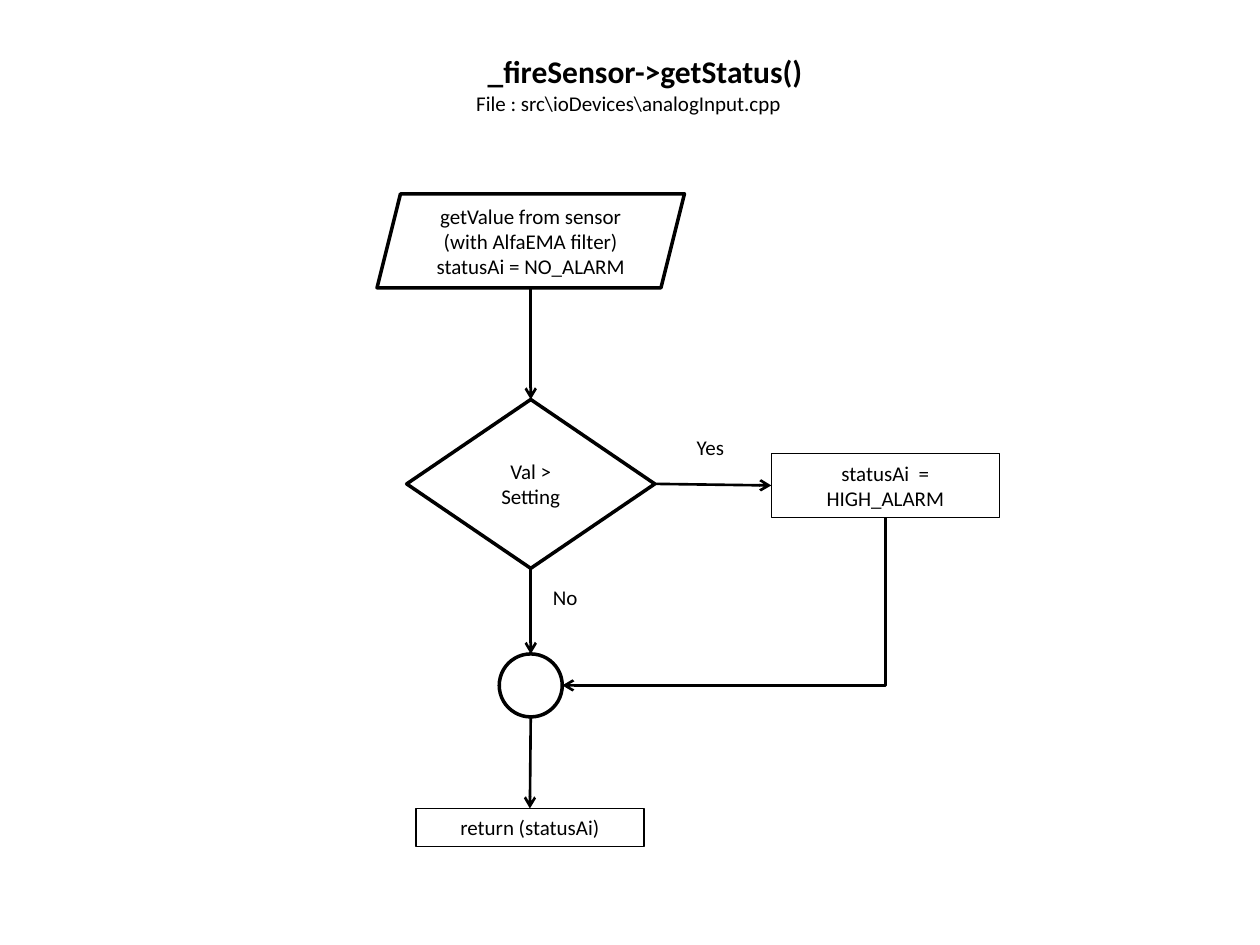
from lxml.etree import SubElement
from pptx import Presentation
from pptx.dml.color import RGBColor
from pptx.enum.shapes import MSO_CONNECTOR, MSO_SHAPE
from pptx.enum.text import MSO_ANCHOR, PP_ALIGN
from pptx.oxml.ns import qn
from pptx.util import Pt

INK = "000000"
AXIS = 303.3  # centre of the main flow
ALARM_AXIS = 505.9
BOX_WIDTH = 130.3


def color(value):
    return RGBColor.from_string(value)


def write(shape, lines, size=12, bold=False, align=PP_ALIGN.CENTER,
          anchor=MSO_ANCHOR.MIDDLE, wrap=True):
    frame = shape.text_frame
    frame.word_wrap = wrap
    frame.vertical_anchor = anchor
    for index, line in enumerate(lines):
        para = frame.paragraphs[0] if index == 0 else frame.add_paragraph()
        para.alignment = align
        span = para.add_run()
        span.text = line
        span.font.name = "Calibri"
        span.font.size = Pt(size)
        span.font.bold = bold
        span.font.color.rgb = color(INK)


deck = Presentation()
deck.slide_width, deck.slide_height = Pt(720), Pt(540)
page = deck.slides.add_slide(deck.slide_layouts[6])

title = page.shapes.add_textbox(Pt(62.6), Pt(20.2), Pt(612), Pt(40.3))
write(title, ["_fireSensor->getStatus()"], size=18, bold=True)

# Labels: text, left, top, width
labels = [
    ("File : src\\ioDevices\\analogInput.cpp", 265, 48.2, 190),
    ("Yes", 391, 244.8, 30.2),
    ("No", 308.9, 330.5, 28.8),
]
for text, left, top, width in labels:
    label = page.shapes.add_textbox(Pt(left), Pt(top), Pt(width), Pt(21.6))
    write(label, [text], align=PP_ALIGN.LEFT, anchor=MSO_ANCHOR.TOP, wrap=False)

# Steps: preset, centre x, top, width, height, line width, text lines
steps = [
    (MSO_SHAPE.PARALLELOGRAM, AXIS, 110.8, 175.7, 53.7, 2,
     ["getValue from sensor", "(with AlfaEMA filter)", "statusAi = NO_ALARM"]),
    (MSO_SHAPE.FLOWCHART_DECISION, AXIS, 228.3, 141.8, 96.5, 2, ["Val > Setting"]),
    (MSO_SHAPE.RECTANGLE, ALARM_AXIS, 259.2, BOX_WIDTH, 36.4, 0.75,
     ["statusAi  = HIGH_ALARM"]),
    (MSO_SHAPE.FLOWCHART_CONNECTOR, AXIS, 373.7, 36, 36, 2, []),
    (MSO_SHAPE.RECTANGLE, AXIS - 0.5, 462, BOX_WIDTH, 21.8, 0.75,
     ["return (statusAi)"]),
]
for preset, center, top, width, height, weight, lines in steps:
    step = page.shapes.add_shape(
        preset, Pt(center - width / 2), Pt(top), Pt(width), Pt(height))
    step.shadow.inherit = False
    step.fill.background()
    step.line.color.rgb = color(INK)
    step.line.width = Pt(weight)
    write(step, lines)

# The bent arrow is laid out unturned, then rotated a quarter turn about its centre
start_x, start_y, end_x, end_y = ALARM_AXIS, 295.6, 321.3, 391.7
middle_x, middle_y = (start_x + end_x) / 2, (start_y + end_y) / 2
half_width, half_height = (end_y - start_y) / 2, (start_x - end_x) / 2
arrows = [
    (MSO_CONNECTOR.STRAIGHT, AXIS, 164.5, AXIS, 228.3),
    (MSO_CONNECTOR.STRAIGHT, AXIS + 70.9, 276.5, ALARM_AXIS - BOX_WIDTH / 2, 277.4),
    (MSO_CONNECTOR.STRAIGHT, AXIS, 324.8, AXIS, 373.7),
    (MSO_CONNECTOR.STRAIGHT, AXIS, 409.7, AXIS - 0.5, 462),
    (MSO_CONNECTOR.ELBOW, middle_x - half_width, middle_y - half_height,
     middle_x + half_width, middle_y + half_height),
]
for kind, left, top, right, bottom in arrows:
    arrow = page.shapes.add_connector(kind, Pt(left), Pt(top), Pt(right), Pt(bottom))
    arrow.line.color.rgb = color(INK)
    arrow.line.width = Pt(1.5)
    properties = arrow._element.spPr
    SubElement(properties.find(qn("a:ln")), qn("a:tailEnd"), type="arrow")
    SubElement(properties, qn("a:effectLst"))
    if kind == MSO_CONNECTOR.ELBOW:
        properties.find(qn("a:prstGeom")).set("prst", "bentConnector2")
        properties.find(qn("a:xfrm")).set("rot", str(90 * 60000))

deck.save("out.pptx")
